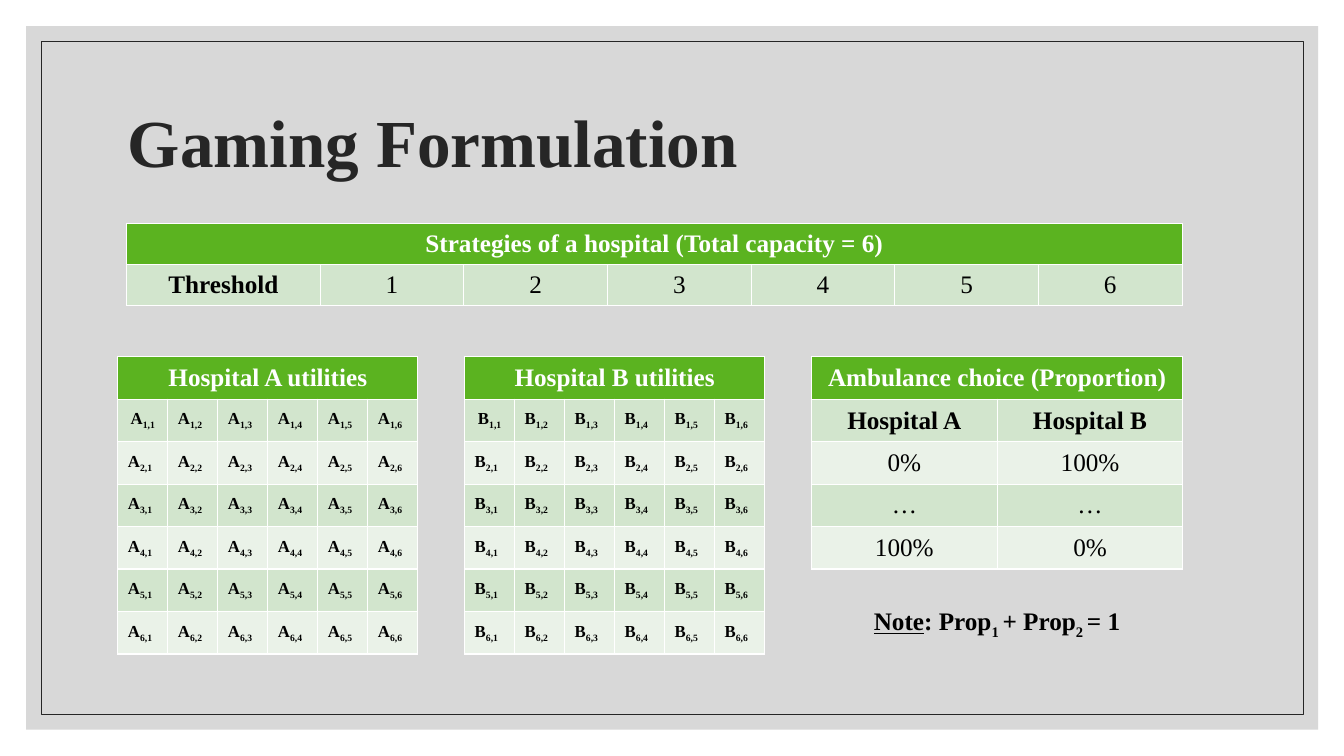
from dataclasses import dataclass

from lxml import etree
from pptx import Presentation
from pptx.dml.color import RGBColor
from pptx.enum.shapes import MSO_SHAPE
from pptx.enum.text import MSO_ANCHOR, MSO_AUTO_SIZE, PP_ALIGN
from pptx.oxml.ns import qn
from pptx.shapes.autoshape import Shape
from pptx.slide import Slide
from pptx.text.text import _Paragraph as Paragraph
from pptx.util import Cm, Pt

RECTANGLE = MSO_SHAPE.RECTANGLE
MIDDLE = MSO_ANCHOR.MIDDLE
LEFT, CENTER = PP_ALIGN.LEFT, PP_ALIGN.CENTER
NO_AUTOFIT, GROW_SHAPE = MSO_AUTO_SIZE.NONE, MSO_AUTO_SIZE.SHAPE_TO_FIT_TEXT
TITLE_ONLY = 5


@dataclass(frozen=True)
class Theme:
    font: str = "Times New Roman"
    title_size: int = 48
    text_size: int = 18
    utility_size: int = 12
    panel: str = "BFBFBF"
    panel_opacity: int = 60
    dark: str = "262626"
    black: str = "000000"
    white: str = "FFFFFF"
    header: str = "5BB320"
    bands: tuple[str, str] = ("D2E5CD", "EAF2E8")


THEME = Theme()


@dataclass(frozen=True)
class Area:
    left: float
    top: float
    width: float
    height: float

    def lengths(self) -> tuple[Cm, Cm, Cm, Cm]:
        return Cm(self.left), Cm(self.top), Cm(self.width), Cm(self.height)


@dataclass(frozen=True)
class Span:
    text: str
    bold: bool = True
    subscript: bool = False
    underline: bool = False


@dataclass(frozen=True)
class CellText:
    spans: tuple[Span, ...]
    align: PP_ALIGN = CENTER


@dataclass(frozen=True)
class Grid:
    heading: str
    left: float
    top: float
    columns: tuple[float, ...]
    row_height: float
    rows: list[list[CellText]]
    size: int = THEME.text_size


COUNT = 6
LOWER_LEFT, LOWER_TOP, LOWER_PITCH = 2.97, 8.99, 8.74
LOWER_ROW = 1.07
PANEL = Area(0.66, 0.66, 32.56, 17.73)
FRAME = Area(1.04, 1.04, 31.8, 16.97)
TITLE = Area(2.97, 1.78, 27.94, 3.81)
NOTE = Area(20.73, 15.14, 8.79, 1.02)
NOTE_SPANS = (
    Span("Note", underline=True),
    Span(": Prop"),
    Span("1 ", subscript=True),
    Span("+ Prop"),
    Span("2 ", subscript=True),
    Span("= 1"),
)


def label(text: str, bold: bool = False) -> CellText:
    return CellText((Span(text, bold),))


def utility(hospital: str, row: int, column: int) -> CellText:
    align = CENTER if row == column == 1 else LEFT
    return CellText((Span(hospital), Span(f"{row},{column}", subscript=True)), align)


def utility_grid(hospital: str, position: int) -> Grid:
    levels = range(1, COUNT + 1)
    return Grid(
        f"Hospital {hospital} utilities",
        LOWER_LEFT + position * LOWER_PITCH,
        LOWER_TOP,
        (1.26,) * COUNT,
        LOWER_ROW,
        [[utility(hospital, row, column) for column in levels] for row in levels],
        THEME.utility_size,
    )


STRATEGIES = Grid(
    "Strategies of a hospital (Total capacity = 6)",
    3.19,
    5.64,
    (4.88,) + (3.62,) * COUNT,
    1.03,
    [[label("Threshold", True)] + [label(str(n)) for n in range(1, COUNT + 1)]],
)
AMBULANCES = Grid(
    "Ambulance choice (Proportion)",
    LOWER_LEFT + 2 * LOWER_PITCH,
    LOWER_TOP,
    (4.68, 4.68),
    LOWER_ROW,
    [[label("Hospital A", True), label("Hospital B", True)]]
    + [[label(a), label(b)] for a, b in (("0%", "100%"), ("…", "…"), ("100%", "0%"))],
)
GRIDS = (utility_grid("A", 0), STRATEGIES, AMBULANCES, utility_grid("B", 1))


def color(value: str) -> RGBColor:
    return RGBColor.from_string(value)


def write(para: Paragraph, spans: tuple[Span, ...], size: int, ink: str, align: PP_ALIGN) -> None:
    para.alignment = align
    for item in spans:
        span = para.add_run()
        span.text = item.text
        span.font.name = THEME.font
        span.font.size = Pt(size)
        span.font.bold = item.bold
        span.font.color.rgb = color(ink)
        if item.underline:
            span.font.underline = True
        if item.subscript:
            span._r.get_or_add_rPr().set("baseline", "-25000")


def add_rectangle(page: Slide, area: Area) -> Shape:
    box = page.shapes.add_shape(RECTANGLE, *area.lengths())
    box.shadow.inherit = False
    return box


def add_backdrop(page: Slide) -> None:
    panel = add_rectangle(page, PANEL)
    panel.fill.solid()
    panel.fill.fore_color.rgb = color(THEME.panel)
    panel.line.fill.background()
    shade = panel._element.spPr.find(qn("a:solidFill")).find(qn("a:srgbClr"))
    etree.SubElement(shade, qn("a:alpha")).set("val", str(THEME.panel_opacity * 1000))
    frame = add_rectangle(page, FRAME)
    frame.fill.background()
    frame.line.color.rgb = color(THEME.dark)
    frame.line.width = Pt(0.5)


def add_title(page: Slide) -> None:
    box = page.shapes.title
    page.shapes._spTree.append(box._element)
    box.left, box.top, box.width, box.height = TITLE.lengths()
    box.text_frame.vertical_anchor = MIDDLE
    box.text_frame.auto_size = NO_AUTOFIT
    para = box.text_frame.paragraphs[0]
    para.line_spacing = 0.9
    write(para, (Span("Gaming Formulation"),), THEME.title_size, THEME.dark, LEFT)


def add_grid(page: Slide, grid: Grid) -> None:
    row_count, column_count = len(grid.rows) + 1, len(grid.columns)
    area = Area(grid.left, grid.top, sum(grid.columns), row_count * grid.row_height)
    table = page.shapes.add_table(row_count, column_count, *area.lengths()).table
    for column, width in zip(table.columns, grid.columns):
        column.width = Cm(width)
    for index, row in enumerate(table.rows):
        row.height = Cm(grid.row_height)
        for cell in row.cells:
            cell.vertical_anchor = MIDDLE
            cell.fill.solid()
            cell.fill.fore_color.rgb = color(THEME.bands[(index - 1) % 2] if index else THEME.header)
    heading = table.cell(0, 0)
    heading.merge(table.cell(0, column_count - 1))
    write(heading.text_frame.paragraphs[0], (Span(grid.heading),), THEME.text_size, THEME.white, CENTER)
    for r, texts in enumerate(grid.rows, 1):
        for c, text in enumerate(texts):
            para = table.cell(r, c).text_frame.paragraphs[0]
            write(para, text.spans, grid.size, THEME.black, text.align)


def add_note(page: Slide) -> None:
    box = page.shapes.add_textbox(*NOTE.lengths())
    box.text_frame.word_wrap = True
    box.text_frame.auto_size = GROW_SHAPE
    write(box.text_frame.paragraphs[0], NOTE_SPANS, THEME.text_size, THEME.black, CENTER)


def main() -> None:
    deck = Presentation()
    deck.slide_width, deck.slide_height = Cm(33.87), Cm(19.05)
    page = deck.slides.add_slide(deck.slide_layouts[TITLE_ONLY])
    add_backdrop(page)
    add_title(page)
    for grid in GRIDS:
        add_grid(page, grid)
    add_note(page)
    deck.save("out.pptx")


if __name__ == "__main__":
    main()
